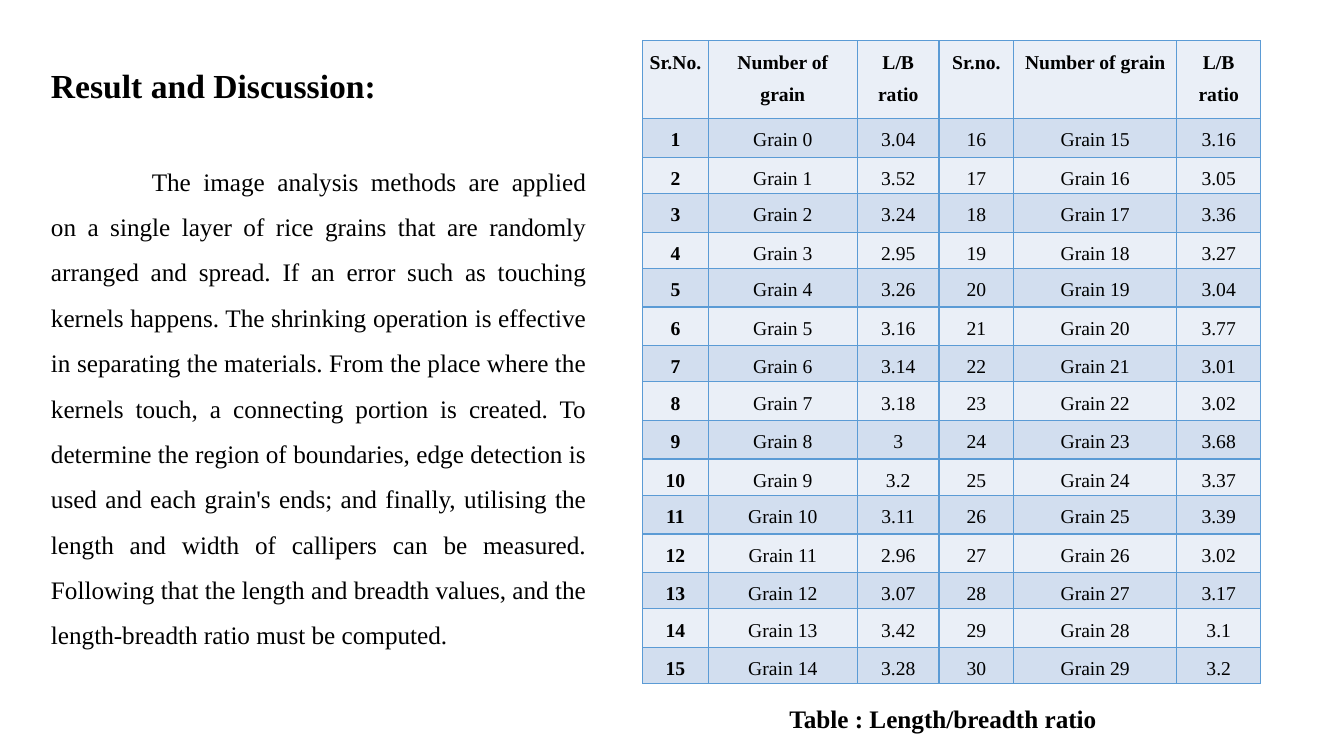
from lxml import etree
from pptx import Presentation
from pptx.dml.color import RGBColor
from pptx.enum.text import MSO_AUTO_SIZE, PP_ALIGN
from pptx.oxml.ns import qn
from pptx.util import Pt

CENTER, JUSTIFY = PP_ALIGN.CENTER, PP_ALIGN.JUSTIFY
GROW = MSO_AUTO_SIZE.SHAPE_TO_FIT_TEXT

BLACK = RGBColor(0x00, 0x00, 0x00)
LIGHT = RGBColor(0xEA, 0xEF, 0xF7)
BAND = RGBColor(0xD2, 0xDE, 0xEF)
BORDER = RGBColor(0x5B, 0x9B, 0xD5)
FONT = "Times New Roman"

HEADING = "Result and Discussion:"
BODY = (
    "The image analysis methods are applied on a single layer of rice grains "
    "that are randomly arranged and spread. If an error such as touching kernels "
    "happens. The shrinking operation is effective in separating the materials. "
    "From the place where the kernels touch, a connecting portion is created. To "
    "determine the region of boundaries, edge detection is used and each grain's "
    "ends; and finally, utilising the length and width of callipers can be "
    "measured. Following that the length and breadth values, and the "
    "length-breadth ratio must be computed."
)
CAPTION = "Table : Length/breadth ratio"

HEADERS = ["Sr.No.", "Number of grain", "L/B ratio",
           "Sr.no.", "Number of grain", "L/B ratio"]
RATIOS = [3.04, 3.52, 3.24, 2.95, 3.26, 3.16, 3.14, 3.18, 3, 3.2,
          3.11, 2.96, 3.07, 3.42, 3.28,
          3.16, 3.05, 3.36, 3.27, 3.04, 3.77, 3.01, 3.02, 3.68, 3.37,
          3.39, 3.02, 3.17, 3.1, 3.2]
HALF = len(RATIOS) // 2
COL_WIDTHS = [46.8, 106.6, 58.3, 53.3, 116.6, 59.8]
HEADER_HEIGHT = 55.6
ROW_HEIGHTS = {"T": 27.6, "S": 25.9}  # tall and short rows
ROW_PATTERN = "TSTSTTSTTSTTSTS"


def write(p, text, size, bold=False, **layout):
    """Fill a paragraph with one run and apply its layout values."""
    for name, value in layout.items():
        setattr(p, name, value)
    r = p.add_run()
    r.text = text
    fmt = {"name": FONT, "size": Pt(size), "bold": bold}
    for name, value in fmt.items():
        setattr(r.font, name, value)
    r.font.color.rgb = BLACK


def set_first_line(p, indent):
    pPr = p._p.get_or_add_pPr()
    pPr.set("marL", "0")
    pPr.set("indent", str(Pt(indent)))


def add_text_frame(s, box):
    tf = s.shapes.add_textbox(*map(Pt, box)).text_frame
    tf.word_wrap = True
    tf.auto_size = GROW
    return tf


def set_borders(cell):
    tcPr = cell._tc.get_or_add_tcPr()
    for i, side in enumerate(("lnL", "lnR", "lnT", "lnB")):
        ln = etree.Element(qn(f"a:{side}"), w=str(Pt(1)))
        fill = etree.SubElement(ln, qn("a:solidFill"))
        etree.SubElement(fill, qn("a:srgbClr"), val=str(BORDER))
        tcPr.insert(i, ln)


def add_discussion(s, box):
    tf = add_text_frame(s, box)
    write(tf.paragraphs[0], HEADING, 24, True, line_spacing=1.5)
    p = tf.add_paragraph()
    write(p, BODY, 18, alignment=JUSTIFY, line_spacing=1.5, space_before=Pt(33))
    set_first_line(p, 72)


def add_ratio_table(s, box):
    rows = [HEADERS]
    for i in range(HALF):
        rows.append([str(v) for n in (i, i + HALF)
                     for v in (n + 1, f"Grain {n}", RATIOS[n])])

    table = s.shapes.add_table(len(rows), len(HEADERS), *map(Pt, box)).table
    table.first_row = table.horz_banding = False
    for col, width in zip(table.columns, COL_WIDTHS):
        col.width = Pt(width)
    heights = [HEADER_HEIGHT] + [ROW_HEIGHTS[k] for k in ROW_PATTERN]
    for row, height in zip(table.rows, heights):
        row.height = Pt(height)

    margins = {"margin_left": Pt(4.5), "margin_right": Pt(4.5),
               "margin_top": 0, "margin_bottom": 0}
    for i, values in enumerate(rows):
        for j, value in enumerate(values):
            cell = table.cell(i, j)
            for name, margin in margins.items():
                setattr(cell, name, margin)
            cell.fill.solid()
            cell.fill.fore_color.rgb = BAND if i % 2 else LIGHT
            set_borders(cell)
            write(cell.text_frame.paragraphs[0], value, 14, i == 0 or j == 0,
                  alignment=CENTER, line_spacing=1.5)


def add_caption(s, box):
    p = add_text_frame(s, box).paragraphs[0]
    write(p, CAPTION, 18, True)
    set_first_line(p, 40.5)


def main():
    prs = Presentation()
    prs.slide_width, prs.slide_height = Pt(960), Pt(540)
    s = prs.slides.add_slide(prs.slide_layouts[6])
    add_discussion(s, (29.3, 28.1, 396.7, 443.5))
    add_ratio_table(s, (459.1, 29.2, 441.4, 460.6))
    add_caption(s, (516.2, 499, 359.3, 28.8))
    prs.save("out.pptx")


if __name__ == "__main__":
    main()
